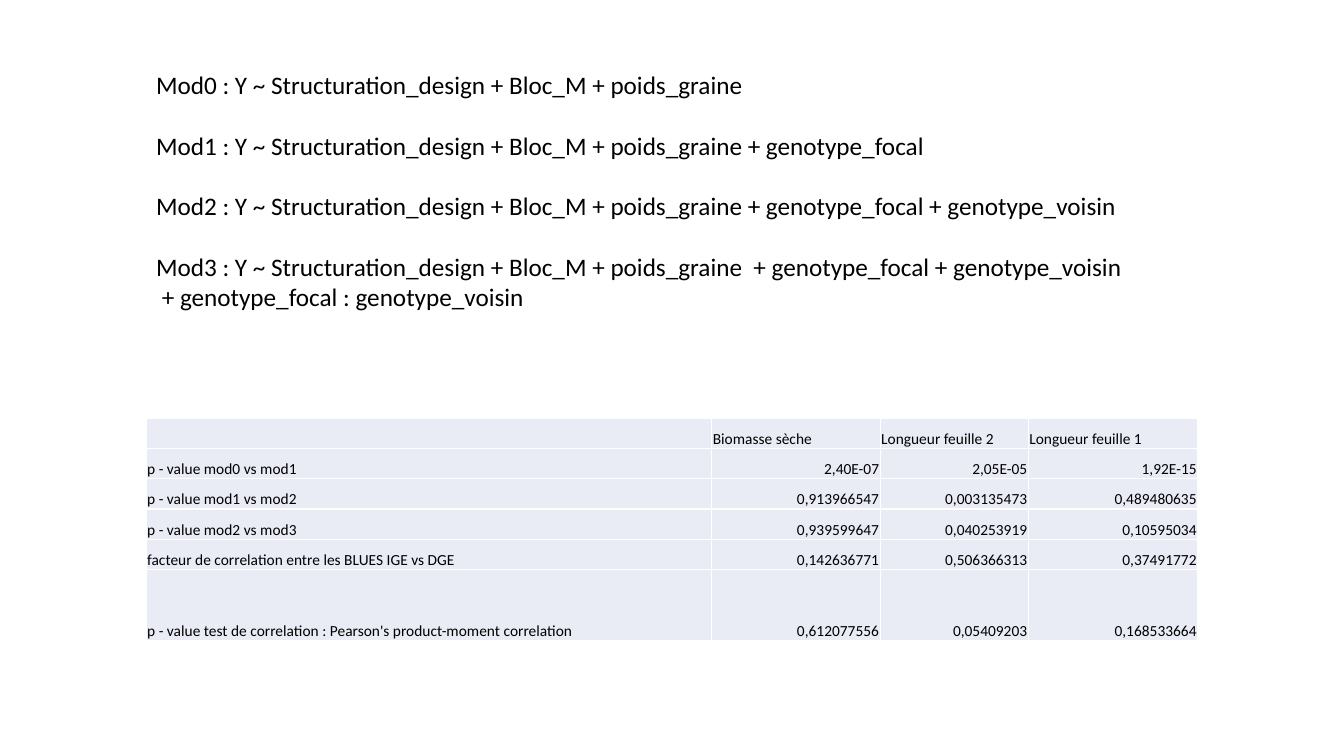
import pptx
import pptx.util
import pptx.dml.color
import pptx.enum.text
import lxml.etree

Inches, Pt = pptx.util.Inches, pptx.util.Pt
ALIGN = pptx.enum.text.PP_ALIGN
FONT, INK, PALE, WHITE = "Calibri", "000000", "E9EBF5", "FFFFFF"
LEFT, WIDTH = 1.45, 10.43

MODELS = [
    "Mod0 : Y ~ Structuration_design + Bloc_M + poids_graine",
    "Mod1 : Y ~ Structuration_design + Bloc_M + poids_graine + genotype_focal",
    "Mod2 : Y ~ Structuration_design + Bloc_M + poids_graine + genotype_focal"
    " + genotype_voisin",
    "Mod3 : Y ~ Structuration_design + Bloc_M + poids_graine  + genotype_focal"
    " + genotype_voisin\v + genotype_focal : genotype_voisin",
]
TESTS = [
    ("", "Biomasse sèche", "Longueur feuille 2", "Longueur feuille 1"),
    ("p - value mod0 vs mod1", "2,40E-07", "2,05E-05", "1,92E-15"),
    ("p - value mod1 vs mod2", "0,913966547", "0,003135473", "0,489480635"),
    ("p - value mod2 vs mod3", "0,939599647", "0,040253919", "0,10595034"),
    ("facteur de correlation entre les BLUES IGE vs DGE",
     "0,142636771", "0,506366313", "0,37491772"),
    ("p - value test de correlation : Pearson's product-moment correlation",
     "0,612077556", "0,05409203", "0,168533664"),
]
COLS = [5.61, 1.67, 1.47, 1.68]
ROWS = [0.3] * 5 + [0.71]


def color(code):
    """Turn a hex string into a colour."""
    return pptx.dml.color.RGBColor.from_string(code)


def style(para, size):
    """Format the runs of a paragraph."""
    for run in para.runs:
        run.font.name = FONT
        run.font.size = Pt(size)
        run.font.color.rgb = color(INK)


def border(cell, code):
    """Draw a one-point line on each side of a cell."""
    props = cell._tc.get_or_add_tcPr()
    space = "{http://schemas.openxmlformats.org/drawingml/2006/main}"
    for side in "LRTB":
        line = lxml.etree.SubElement(props, space + "ln" + side, w=str(Pt(1)))
        fill = lxml.etree.SubElement(line, space + "solidFill")
        lxml.etree.SubElement(fill, space + "srgbClr", val=code)


def add_models(slide):
    """Write the model formulas, one paragraph each."""
    box = slide.shapes.add_textbox(
        Inches(LEFT), Inches(0.64), Inches(WIDTH), Inches(2.83))
    frame = box.text_frame
    frame.word_wrap = True
    for i, model in enumerate(MODELS):
        para = frame.add_paragraph() if i else frame.paragraphs[0]
        para.text = model
        para.space_before = Pt(21.6 if i else 0)
        style(para, 18)


def fill_cell(cell, text, align):
    """Write and format one table cell."""
    border(cell, WHITE)
    cell.fill.solid()
    cell.fill.fore_color.rgb = color(PALE)
    cell.margin_left = cell.margin_right = cell.margin_top = Inches(0.01)
    cell.margin_bottom = 0
    cell.vertical_anchor = pptx.enum.text.MSO_ANCHOR.BOTTOM
    cell.text_frame.text = text
    para = cell.text_frame.paragraphs[0]
    para.alignment = align
    style(para, 11)
    if not text:
        para._p.get_or_add_endParaRPr().set("sz", "1100")


def add_tests(slide):
    """Build the table of test results."""
    table = slide.shapes.add_table(
        len(ROWS), len(COLS), Inches(LEFT), Inches(4.15),
        Inches(WIDTH), Inches(sum(ROWS))).table
    for col, width in zip(table.columns, COLS):
        col.width = Inches(width)
    for row, height in zip(table.rows, ROWS):
        row.height = Inches(height)
    for r, texts in enumerate(TESTS):
        for c, text in enumerate(texts):
            align = ALIGN.RIGHT if r and c else ALIGN.LEFT
            fill_cell(table.cell(r, c), text, align)


deck = pptx.Presentation()
deck.slide_width, deck.slide_height = Inches(13.33), Inches(7.5)
slide = deck.slides.add_slide(deck.slide_layouts[6])
add_tests(slide)
add_models(slide)
deck.save("out.pptx")
